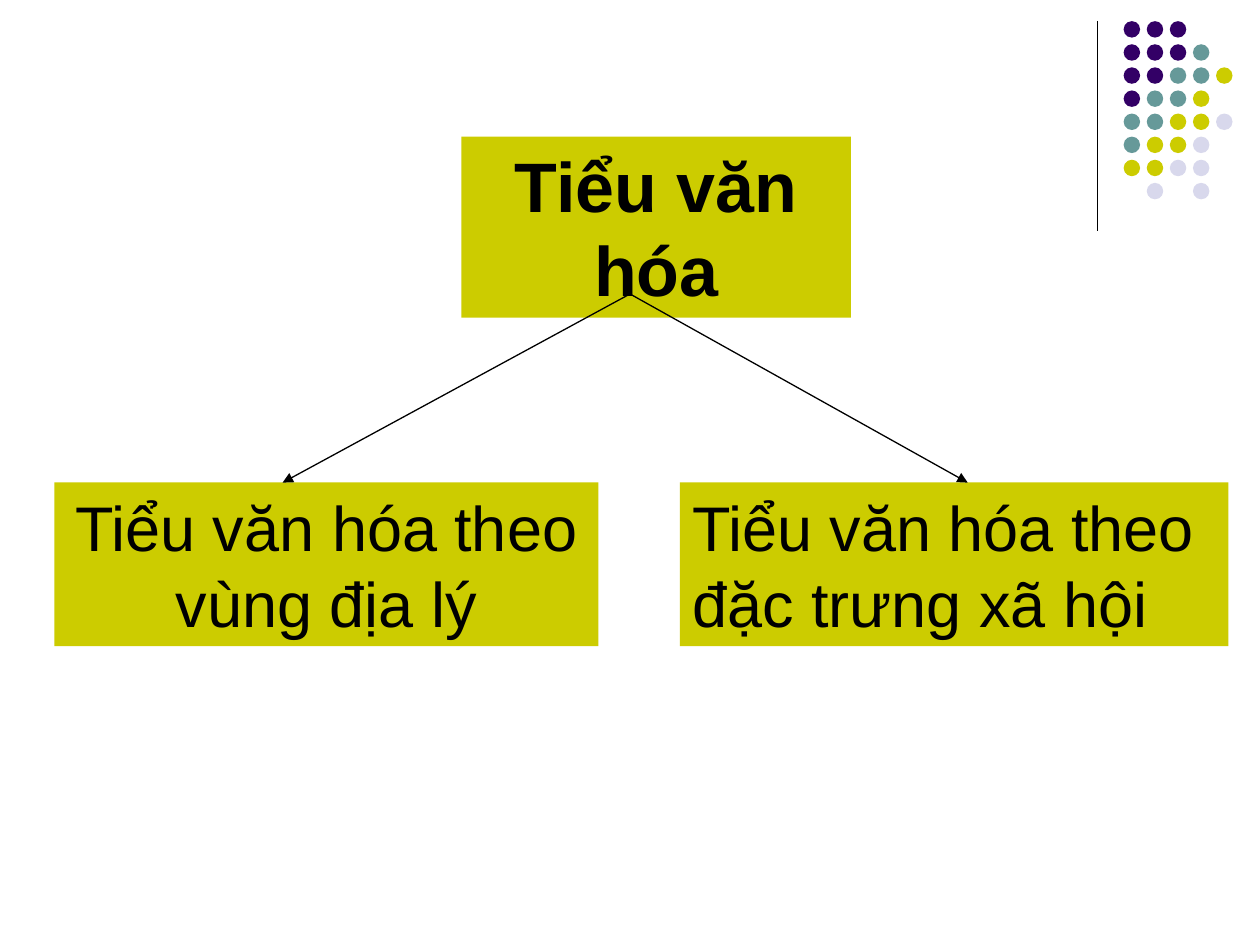
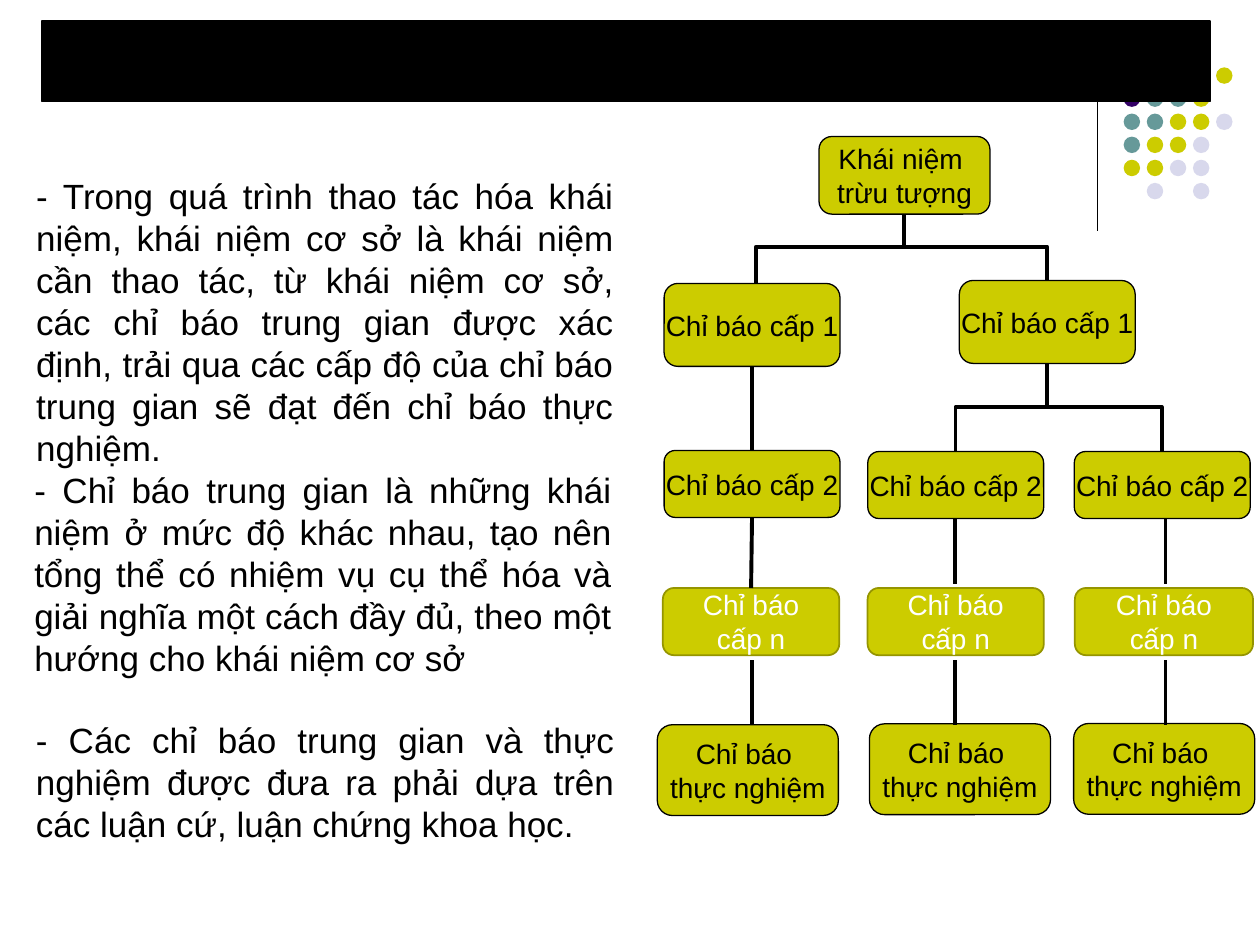
import pptx
import pptx.dml.color
import pptx.enum.shapes
import pptx.enum.text
import pptx.oxml
import pptx.oxml.ns
import pptx.util

Pt = pptx.util.Pt
SHAPES = pptx.enum.shapes.MSO_SHAPE
CONNECTORS = pptx.enum.shapes.MSO_CONNECTOR
ALIGN = pptx.enum.text.PP_ALIGN
ANCHOR = pptx.enum.text.MSO_ANCHOR
AUTO_SIZE = pptx.enum.text.MSO_AUTO_SIZE

FONT = "Arial"
BLACK, WHITE = "000000", "FFFFFF"
OLIVE, DARK_OLIVE = "CCCC00", "959500"
DOT_COLORS = {"P": "330066", "T": "669999", "O": OLIVE, "L": "D8D8EC"}
DOT_ROWS = ["PPP", "PPPT", "PPTTO", "PTTO", "TTOOL", "TOOL", "OOLL", " L L"]
BAND_BOX = (23.8, 12, 667.8, 46)


def color(hex_string):
    return pptx.dml.color.RGBColor.from_string(hex_string)


def add_filled(slide, kind, box, fill, line=None, line_width=0.75):
    """Add a preset shape; box is left, top, width, height in points."""
    shape = slide.shapes.add_shape(kind, *[Pt(value) for value in box])
    shape.shadow.inherit = False
    shape.fill.solid()
    shape.fill.fore_color.rgb = color(fill)
    if line:
        shape.line.color.rgb = color(line)
        shape.line.width = Pt(line_width)
    else:
        shape.line.fill.background()
    return shape


def write(shape, lines, size, align, text_color=BLACK, bold=False,
          anchor=ANCHOR.TOP, wrap=True):
    frame = shape.text_frame
    frame.word_wrap = wrap
    frame.vertical_anchor = anchor
    frame.text = lines
    for paragraph in frame.paragraphs:
        paragraph.alignment = align
        paragraph.font.name = FONT
        paragraph.font.size = Pt(size)
        paragraph.font.bold = bold
        paragraph.font.color.rgb = color(text_color)


def add_line(slide, start, end, width=2.25, kind=CONNECTORS.STRAIGHT, arrow=False):
    connector = slide.shapes.add_connector(
        kind, *[Pt(value) for value in (*start, *end)])
    connector.line.color.rgb = color(BLACK)
    connector.line.width = Pt(width)
    namespace = pptx.oxml.ns.nsdecls("a")
    if arrow:
        connector.line._get_or_add_ln().append(
            pptx.oxml.parse_xml(f'<a:tailEnd {namespace} type="triangle"/>'))
    connector._element.spPr.append(
        pptx.oxml.parse_xml(f"<a:effectLst {namespace}/>"))
    return connector


def add_branch(slide, start, end, bend_y):
    """Run down from start, across at bend_y, then down to end."""
    across, down = end[0] - start[0], end[1] - start[1]
    center_x, center_y = (start[0] + end[0]) / 2, (start[1] + end[1]) / 2
    # The elbow is laid out sideways, then turned about its centre
    side = 1 if across > 0 else -1
    half_width, half_height = side * down / 2, abs(across) / 2
    connector = add_line(
        slide,
        (center_x + half_width, center_y - half_height),
        (center_x - half_width, center_y + half_height),
        kind=CONNECTORS.ELBOW)
    properties = connector._element.spPr
    properties.xfrm.set("rot", str((270 if side > 0 else 90) * 60000))
    geometry = properties.find(pptx.oxml.ns.qn("a:prstGeom"))
    for adjustments in list(geometry):
        geometry.remove(adjustments)
    ratio = round((bend_y - start[1]) / down * 100000)
    geometry.append(pptx.oxml.parse_xml(
        f'<a:avLst {pptx.oxml.ns.nsdecls("a")}>'
        f'<a:gd name="adj1" fmla="val {ratio}"/></a:avLst>'))


def add_decoration(slide, band=None):
    """Corner rule and dot grid, without the dots that a top band would cover."""
    add_line(slide, (627.1, 12), (627.1, 132), 0.75)
    pitch, diameter = 13.2, 9.4
    for row, codes in enumerate(DOT_ROWS):
        for column, code in enumerate(codes):
            left, top = 642.1 + column * pitch, 12.1 + row * pitch
            covered = (band and left + diameter < band[0] + band[2]
                       and top + diameter < band[1] + band[3])
            if code != " " and not covered:
                add_filled(slide, SHAPES.OVAL, (left, top, diameter, diameter),
                           DOT_COLORS[code])


def add_topic(slide, box, text, size, align=ALIGN.CENTER, bold=False):
    shape = add_filled(slide, SHAPES.RECTANGLE, box, OLIVE)
    write(shape, text, size, align, bold=bold)
    shape.text_frame.auto_size = AUTO_SIZE.SHAPE_TO_FIT_TEXT


def add_node(slide, box, text):
    """Black-on-olive node whose label may reach its edges."""
    shape = add_filled(slide, SHAPES.ROUNDED_RECTANGLE, box, OLIVE, BLACK)
    write(shape, text, 16, ALIGN.CENTER, anchor=ANCHOR.MIDDLE, wrap=False)
    frame = shape.text_frame
    frame.margin_left = frame.margin_right = frame.margin_top = frame.margin_bottom = 0
    return shape


def add_level_n_node(slide, box):
    shape = add_filled(slide, SHAPES.ROUNDED_RECTANGLE, box, OLIVE, DARK_OLIVE, 1)
    write(shape, "Chỉ báo cấp n", 16, ALIGN.CENTER, WHITE, anchor=ANCHOR.MIDDLE)
    return shape


def add_note(slide, box, text):
    shape = slide.shapes.add_textbox(*[Pt(value) for value in box])
    write(shape, text, 20, ALIGN.JUSTIFY)
    shape.text_frame.auto_size = AUTO_SIZE.SHAPE_TO_FIT_TEXT


def build_subculture(slide):
    add_decoration(slide)
    add_topic(slide, (263.7, 78, 222.5, 103.5), "Tiểu văn hóa", 40, bold=True)
    add_topic(slide, (31, 275.7, 311, 93.6), "Tiểu văn hóa theo vùng địa lý", 36)
    add_topic(slide, (388.5, 275.7, 313.5, 93.6),
              "Tiểu văn hóa theo đặc trưng xã hội", 36, ALIGN.LEFT)
    for target_x in (161.5, 553):
        add_line(slide, (360, 168), (target_x, 275.8), 0.75, arrow=True)


def build_indicators(slide):
    add_decoration(slide, BAND_BOX)

    # Branches from the concept and from the right level 1 indicator
    for end in ((432, 162), (598.3, 160.5)):
        add_branch(slide, (516.7, 122.4), end, 141)
    for end_x in (546, 663.8):
        add_branch(slide, (598.3, 207.5), (end_x, 257.8), 232.6)

    # Concept and level 1
    add_node(slide, (468, 78, 97.7, 44.4), "Khái niệm \ntrừu tượng")
    level_1 = add_node(slide, (379.5, 162, 100.5, 47.4), "Chỉ báo cấp 1")
    add_node(slide, (548.2, 160.3, 100.5, 47.4), "Chỉ báo cấp 1")

    # Columns: level 2 left and top, level n left and width,
    # empirical left and top, link x
    columns = [(379.5, 257.4, 378.8, 100.8, 375.6, 414.1, 429.8),
               (495.9, 258, 495.8, 100.7, 496.8, 413.6, 545.6),
               (613.9, 258, 614.2, 101.8, 613.5, 413.4, 666)]
    for index, (level_2_x, level_2_y, level_n_x, level_n_width,
                empirical_x, empirical_y, link_x) in enumerate(columns):
        level_2 = add_node(slide, (level_2_x, level_2_y, 100.5, 38.3), "Chỉ báo cấp 2")
        level_n = add_level_n_node(slide, (level_n_x, 336, level_n_width, 38.4))
        add_node(slide, (empirical_x, empirical_y, 103.5, 51.9),
                 "Chỉ báo \nthực nghiệm")
        link = add_line(slide, (link_x, 296.5), (link_x, 333.8))
        add_line(slide, (link_x, 377.2), (link_x, 414))
        if index == 0:
            link.begin_connect(level_2, 2)
            link.end_connect(level_n, 0)
            stem = add_line(slide, (link_x, 209.5), (link_x, 257.7))
            stem.begin_connect(level_1, 2)
            stem.end_connect(level_2, 0)

    # Top band
    add_filled(slide, SHAPES.RECTANGLE, BAND_BOX, BLACK, BLACK, 1)

    # Explanations
    add_note(slide, (13.6, 96.2, 344.2, 175.7),
             "- Trong quá trình thao tác hóa khái niệm, khái niệm cơ sở là khái niệm "
             "cần thao tác, từ khái niệm cơ sở, các chỉ báo trung gian được xác định, "
             "trải qua các cấp độ của chỉ báo trung gian sẽ đạt đến chỉ báo thực nghiệm.")
    add_note(slide, (12.5, 264, 344.2, 127.4),
             "- Chỉ báo trung gian là những khái niệm ở mức độ khác nhau, tạo nên tổng "
             "thể có nhiệm vụ cụ thể hóa và giải nghĩa một cách đầy đủ, theo một hướng "
             "cho khái niệm cơ sở")
    add_note(slide, (13.5, 406.8, 344.8, 79.2),
             "- Các chỉ báo trung gian và thực nghiệm được đưa ra phải dựa trên các "
             "luận cứ, luận chứng khoa học.")


def main():
    presentation = pptx.Presentation()
    presentation.slide_width, presentation.slide_height = Pt(720), Pt(540)
    blank_layout = presentation.slide_layouts[6]
    for build in (build_subculture, build_indicators):
        build(presentation.slides.add_slide(blank_layout))
    presentation.save("out.pptx")


if __name__ == "__main__":
    main()
